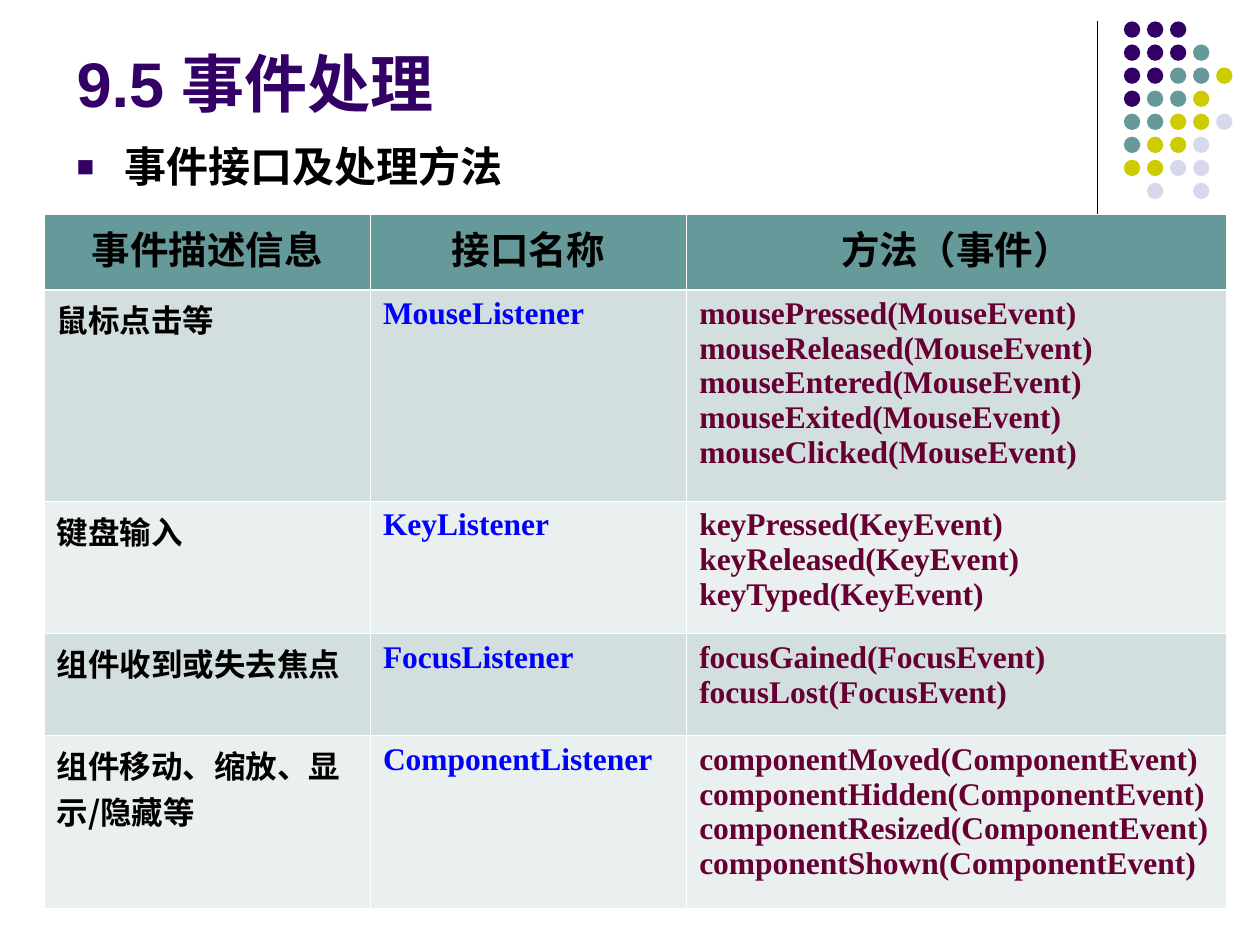
import pptx
import pptx.util
import pptx.dml.color
import pptx.enum.shapes
import pptx.enum.text
import pptx.oxml.ns
from lxml import etree

Inches, Pt = pptx.util.Inches, pptx.util.Pt
RGB = pptx.dml.color.RGBColor
Anchor, Align = pptx.enum.text.MSO_ANCHOR, pptx.enum.text.PP_ALIGN
qn = pptx.oxml.ns.qn

PURPLE, TEAL, LIME = RGB(0x33, 0, 0x66), RGB(0x66, 0x99, 0x99), RGB(0xCC, 0xCC, 0)
PALE, BLACK, WHITE = RGB(0xD8, 0xD8, 0xEC), RGB(0, 0, 0), RGB(255, 255, 255)
BLUE, WINE = RGB(0, 0, 255), RGB(0x66, 0, 0x33)
BANDS = RGB(0xD3, 0xDE, 0xDE), RGB(0xEA, 0xEF, 0xEF)
SANS, SERIF, HAN = "Arial", "Times New Roman", "Noto Sans CJK SC"

TITLE = "9.5 事件处理"
TOPIC = "事件接口及处理方法"
HEADS = ["事件描述信息", "接口名称", "方法（事件）"]
ROWS = [
    ("鼠标点击等", "MouseListener", "MouseEvent",
     ["mousePressed", "mouseReleased", "mouseEntered", "mouseExited", "mouseClicked"]),
    ("键盘输入", "KeyListener", "KeyEvent",
     ["keyPressed", "keyReleased", "keyTyped"]),
    ("组件收到或失去焦点", "FocusListener", "FocusEvent",
     ["focusGained", "focusLost"]),
    ("组件移动、缩放、显示/隐藏等", "ComponentListener", "ComponentEvent",
     ["componentMoved", "componentHidden", "componentResized", "componentShown"]),
]
WIDTHS = [2.59, 2.51, 4.28]
HEIGHTS = [0.6, 1.68, 1.05, 0.81, 1.37]

DOTS = ["PPP", "PPPT", "PPTTL", "PTTL", "TTLLV", "TLLV", "LLVV", " V V"]
HUES = {"P": PURPLE, "T": TEAL, "L": LIME, "V": PALE}
DOT, STEP = 0.13, 0.183

HEAD = {"name": HAN, "size": Pt(22), "color": BLACK}
CELLS = [
    {"name": HAN, "size": Pt(18), "color": BLACK},
    {"name": SERIF, "size": Pt(18), "color": BLUE},
    {"name": SERIF, "size": Pt(18), "color": WINE},
]


def write(frame, lines, style, align=Align.LEFT):
    for i, line in enumerate(lines):
        par = frame.paragraphs[0] if i == 0 else frame.add_paragraph()
        par.alignment = align
        run = par.add_run()
        run.text = line
        run.font.bold = True
        for key, val in style.items():
            if key == "color":
                run.font.color.rgb = val
            else:
                setattr(run.font, key, val)
        east = etree.SubElement(run.font._element, qn("a:ea"))
        east.set("typeface", HAN)


def add_text(slide, box, text, style, anchor):
    frame = slide.shapes.add_textbox(*map(Inches, box)).text_frame
    frame.word_wrap = True
    frame.vertical_anchor = anchor
    write(frame, [text], style)
    return frame.paragraphs[0]


def add_bullet(par):
    par.space_before = Pt(6)
    props = par._p.get_or_add_pPr()
    props.set("marL", str(Inches(0.38)))
    props.set("indent", str(-Inches(0.38)))
    hue = etree.SubElement(props, qn("a:buClr"))
    etree.SubElement(hue, qn("a:srgbClr")).set("val", str(PURPLE))
    etree.SubElement(props, qn("a:buSzPct")).set("val", "70000")
    etree.SubElement(props, qn("a:buFont")).set("typeface", SANS)
    etree.SubElement(props, qn("a:buChar")).set("char", "■")


def paint(cell, fill, top, base):
    """Set the cell's borders, which must precede its fill."""
    props = cell._tc.get_or_add_tcPr()
    for side, width in (("L", 0.45), ("R", 0.45), ("T", top), ("B", base)):
        edge = etree.SubElement(props, qn("a:ln" + side))
        edge.set("w", str(Pt(width)))
        solid = etree.SubElement(edge, qn("a:solidFill"))
        etree.SubElement(solid, qn("a:srgbClr")).set("val", str(WHITE))
    cell.fill.solid()
    cell.fill.fore_color.rgb = fill


def add_dots(slide):
    rule = slide.shapes.add_connector(
        pptx.enum.shapes.MSO_CONNECTOR.STRAIGHT,
        Inches(8.71), Inches(0.17), Inches(8.71), Inches(1.83))
    rule.line.color.rgb = BLACK
    rule.line.width = Pt(0.75)
    etree.SubElement(rule._element.spPr, qn("a:effectLst"))
    for j, row in enumerate(DOTS):
        for i, key in enumerate(row):
            if key == " ":
                continue
            dot = slide.shapes.add_shape(
                pptx.enum.shapes.MSO_SHAPE.OVAL, Inches(8.92 + i * STEP),
                Inches(0.17 + j * STEP), Inches(DOT), Inches(DOT))
            dot.shadow.inherit = False
            dot.fill.solid()
            dot.fill.fore_color.rgb = HUES[key]
            dot.line.fill.background()


def add_grid(slide):
    table = slide.shapes.add_table(
        len(HEIGHTS), len(WIDTHS), Inches(0.35), Inches(1.7),
        Inches(sum(WIDTHS)), Inches(sum(HEIGHTS))).table
    table.first_row = table.horz_banding = False
    for col, width in zip(table.columns, WIDTHS):
        col.width = Inches(width)
    for row, height in zip(table.rows, HEIGHTS):
        row.height = Inches(height)
    for c, text in enumerate(HEADS):
        cell = table.cell(0, c)
        paint(cell, TEAL, 0.45, 1.47)
        write(cell.text_frame, [text], HEAD, Align.CENTER)
    for r, (about, face, event, calls) in enumerate(ROWS, 1):
        parts = [about], [face], [f"{call}({event})" for call in calls]
        for c, lines in enumerate(parts):
            cell = table.cell(r, c)
            paint(cell, BANDS[(r - 1) % 2], 1.47 if r == 1 else 0.45, 0.45)
            write(cell.text_frame, lines, CELLS[c])


def main():
    deck = pptx.Presentation()
    deck.slide_width, deck.slide_height = Inches(10), Inches(7.5)
    slide = deck.slides.add_slide(deck.slide_layouts[6])
    add_dots(slide)
    add_text(slide, (0.51, 0.21, 8.25, 0.79), TITLE,
             {"name": SANS, "size": Pt(36), "color": PURPLE}, Anchor.BOTTOM)
    topic = add_text(slide, (0.51, 1.07, 9, 5.67), TOPIC,
                     {"name": SANS, "size": Pt(24), "color": BLACK}, Anchor.TOP)
    add_bullet(topic)
    add_grid(slide)
    deck.save("out.pptx")


if __name__ == "__main__":
    main()
